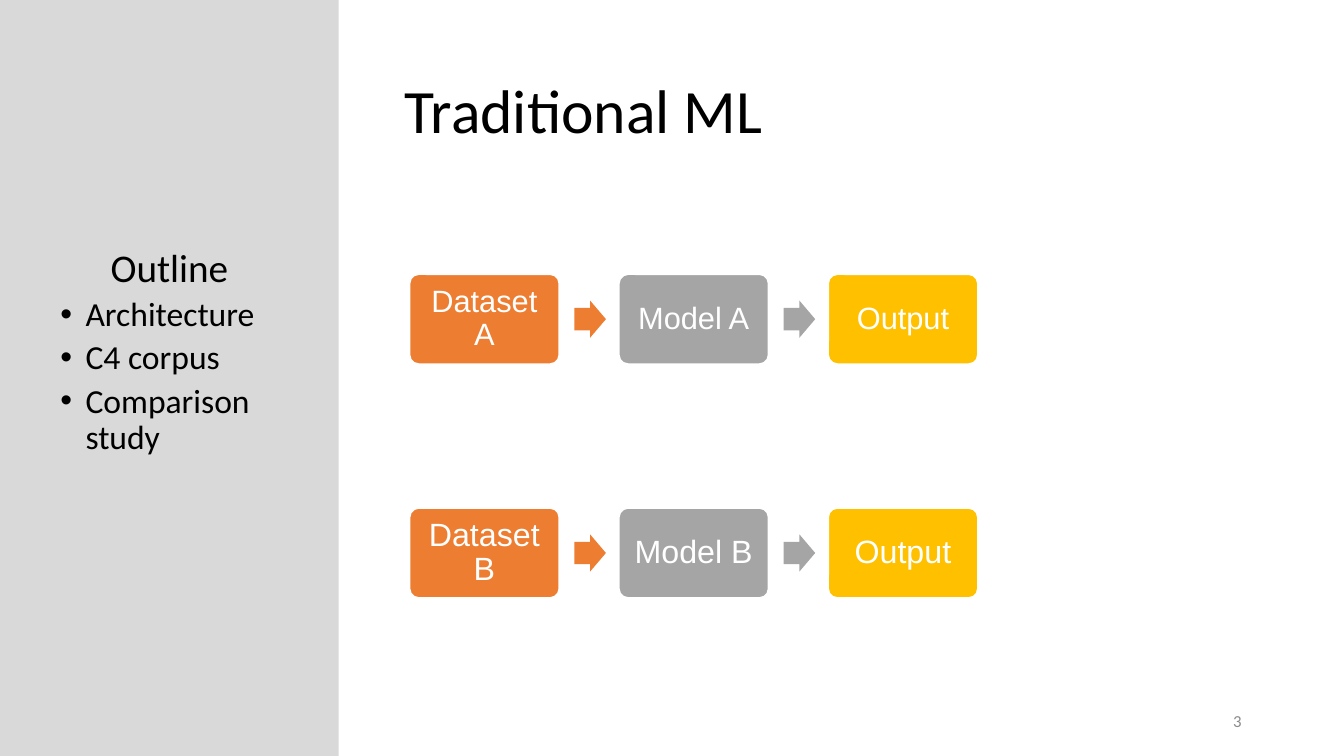
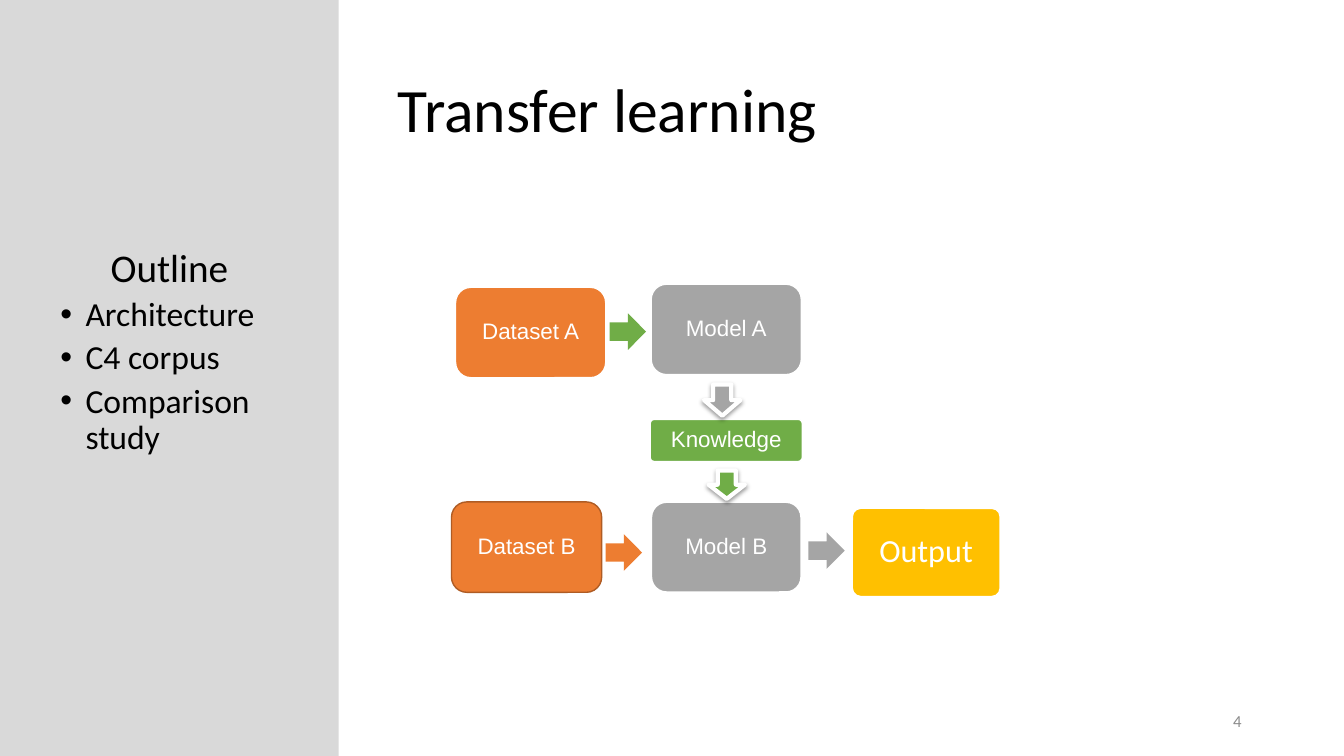
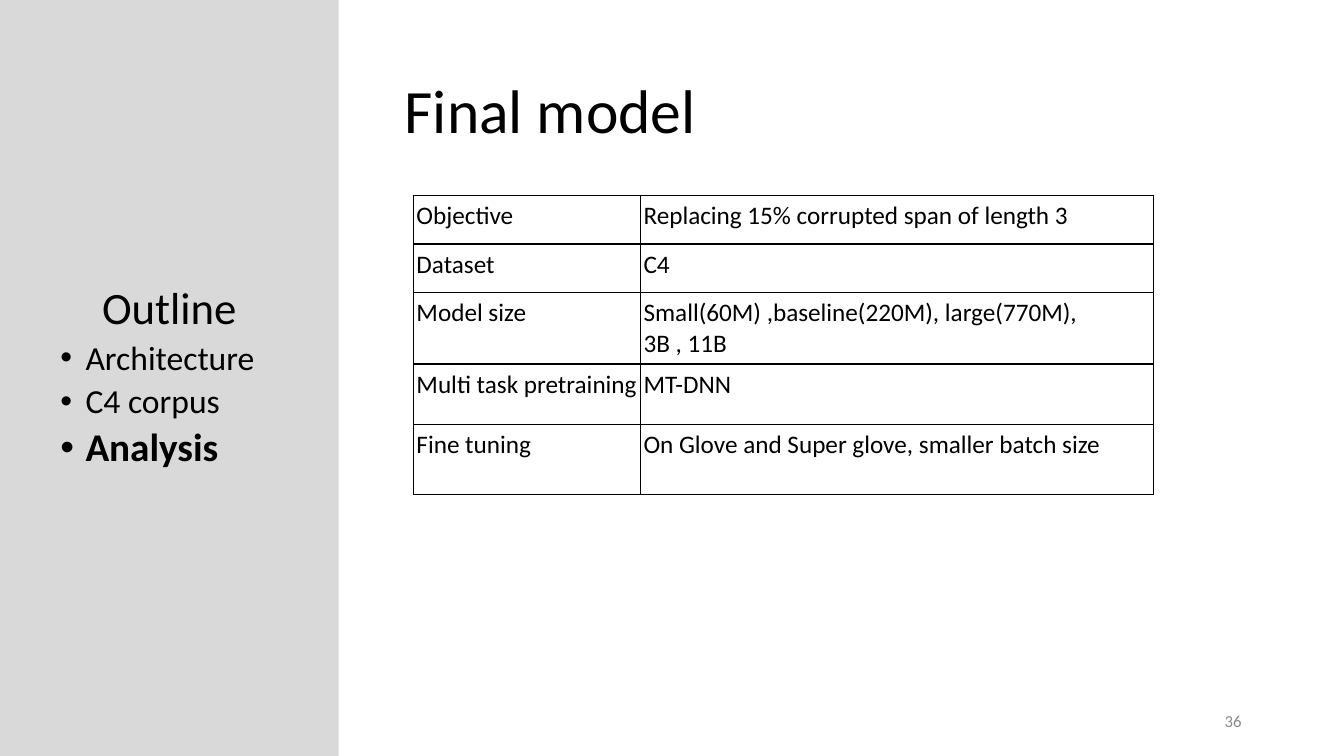
from pptx import Presentation
from pptx.dml.color import RGBColor
from pptx.enum.shapes import MSO_SHAPE
from pptx.enum.text import MSO_ANCHOR, PP_ALIGN
from pptx.oxml import parse_xml
from pptx.oxml.ns import nsdecls
from pptx.util import Pt

RECTANGLE = MSO_SHAPE.RECTANGLE
ROUNDED = MSO_SHAPE.ROUNDED_RECTANGLE
ARROW = MSO_SHAPE.RIGHT_ARROW
MIDDLE = MSO_ANCHOR.MIDDLE
LEFT, CENTER, RIGHT = PP_ALIGN.LEFT, PP_ALIGN.CENTER, PP_ALIGN.RIGHT

BLACK, WHITE = "000000", "FFFFFF"
BAND, FOOTER = "D9D9D9", "8B8B8B"
ORANGE, GRAY, GOLD, GREEN = "ED7D31", "A5A5A5", "FFC000", "70AD47"
DARK_ORANGE = "AF5C24"

SLIDE_WIDTH, SLIDE_HEIGHT = 960, 540
BAND_WIDTH = 242
TITLE_BOX = (282, 28.8, 612, 104.4)
NUMBER_BOX = (678, 500.5, 216, 28.8)
DEFAULT_INSETS = (7.2, 3.6, 7.2, 3.6)


# Shared helpers
def color(value):
    return RGBColor.from_string(value)


def points(box):
    return [Pt(value) for value in box]


def format_frame(frame, insets=DEFAULT_INSETS):
    left, top, right, bottom = points(insets)
    settings = {"word_wrap": True, "vertical_anchor": MIDDLE,
                "margin_left": left, "margin_top": top,
                "margin_right": right, "margin_bottom": bottom}
    for name, value in settings.items():
        setattr(frame, name, value)


def write(paragraph, text, size, ink=BLACK, font="Calibri", bold=False,
          align=LEFT, spacing=0.9, before=0):
    run = paragraph.add_run()
    run.text = text
    run.font.color.rgb = color(ink)
    for name, value in {"size": Pt(size), "name": font, "bold": bold}.items():
        setattr(run.font, name, value)
    layout = {"alignment": align, "line_spacing": spacing, "space_before": Pt(before)}
    for name, value in layout.items():
        setattr(paragraph, name, value)


def add_text(slide, box, text, size, **style):
    frame = slide.shapes.add_textbox(*points(box)).text_frame
    format_frame(frame)
    write(frame.paragraphs[0], text, size, **style)


def add_shape(slide, kind, box, fill, line=None, line_width=1, adjustments=()):
    shape = slide.shapes.add_shape(kind, *points(box))
    shape.shadow.inherit = False
    shape.fill.solid()
    shape.fill.fore_color.rgb = color(fill)
    if line:
        shape.line.color.rgb = color(line)
        shape.line.width = Pt(line_width)
    else:
        shape.line.fill.background()
    for index, value in enumerate(adjustments):
        shape.adjustments[index] = value
    return shape


# Outline band at the left
def add_outline(slide, topics, heading_size=28, current=None, bottom=3.6):
    band = add_shape(slide, RECTANGLE, (0, 0, BAND_WIDTH, SLIDE_HEIGHT), BAND)
    frame = band.text_frame
    format_frame(frame, (7.2, 3.6, 7.2, bottom))
    write(frame.paragraphs[0], "Outline", heading_size, align=CENTER)
    for topic in topics:
        paragraph = frame.add_paragraph()
        paragraph.level = 1
        properties = paragraph._p.get_or_add_pPr()
        properties.set("marL", str(Pt(54)))
        properties.set("indent", str(Pt(-18)))
        for bullet in (f'<a:buClr {nsdecls("a")}><a:srgbClr val="{BLACK}"/></a:buClr>',
                       f'<a:buFont {nsdecls("a")} typeface="Arial"/>',
                       f'<a:buChar {nsdecls("a")} char="•"/>'):
            properties.append(parse_xml(bullet))
        active = topic == current
        write(paragraph, topic, 28 if active else 24, bold=active, before=5)


def start_slide(presentation, title, number, title_box=TITLE_BOX, **outline):
    slide = presentation.slides.add_slide(presentation.slide_layouts[6])
    add_text(slide, title_box, title, 44)
    add_outline(slide, **outline)
    add_text(slide, NUMBER_BOX, number, 12, ink=FOOTER, align=RIGHT, spacing=1.0)
    return slide


# Diagram parts
def add_node(slide, box, text, fill, size, inset, font="Arial", corner=0.1,
             line=WHITE, line_width=1):
    node = add_shape(slide, ROUNDED, box, fill, line, line_width, [corner])
    format_frame(node.text_frame, [inset] * 4)
    write(node.text_frame.paragraphs[0], text, size, ink=WHITE, font=font, align=CENTER)


def add_flow(slide, left, top, steps, size, inset):
    width, height, pitch = 106.7, 64, 149.5
    arrow_width, arrow_height = 22.6, 26.6
    for index, (text, fill) in enumerate(steps):
        x = left + index * pitch
        add_node(slide, (x, top, width, height), text, fill, size, inset)
        if index < len(steps) - 1:
            arrow_box = (x + 117.5, top + (height - arrow_height) / 2,
                         arrow_width, arrow_height)
            add_shape(slide, ARROW, arrow_box, fill, adjustments=(0.6, 0.5))


def add_down_arrow(slide, box, fill):
    arrow = add_shape(slide, ARROW, box, fill, WHITE, 3)
    arrow.rotation = 90
    effects = arrow._element.spPr.find("{*}effectLst")
    effects.append(parse_xml(
        f'<a:outerShdw {nsdecls("a")} blurRad="{Pt(3.1)}" dist="{Pt(1.6)}" '
        f'dir="5400000" rotWithShape="0"><a:srgbClr val="{BLACK}">'
        '<a:alpha val="38000"/></a:srgbClr></a:outerShdw>'))


def add_transfer(slide, left, top):
    width, height = 107.3, 64.6
    model_left = left + 142.6
    # Datasets, models and the knowledge between them
    nodes = [
        ("Dataset A", ORANGE, left + 2.9, top + 2.2, WHITE, 1),
        ("Model A", GRAY, model_left, top, WHITE, 1),
        ("Dataset B", ORANGE, left, top + 155.5, DARK_ORANGE, 1),
        ("Model B", GRAY, model_left, top + 155.5, WHITE, 1.5),
    ]
    for text, fill, x, y, line, line_width in nodes:
        add_node(slide, (x, y, width, height), text, fill, 16, 4.8,
                 corner=0.17, line=line, line_width=line_width)
    add_node(slide, (model_left - 0.7, top + 96.5, 108.7, 30.2), "Knowledge", GREEN, 16, 4.8)
    add_node(slide, (left + 285.8, top + 159.6, 106.6, 64), "Output", GOLD, 23, 6.9,
             font="Calibri", line_width=2)
    # Arrows
    for x, y, fill in [(113, 20.8, GREEN), (110.1, 178.6, ORANGE), (254.9, 177.2, GRAY)]:
        add_shape(slide, ARROW, (left + x, top + y, 26, 26.2), fill)
    add_down_arrow(slide, (left + 186.5, top + 130.2, 20.2, 26), GREEN)
    add_down_arrow(slide, (left + 182.2, top + 69.8, 22.3, 26), GRAY)


# Table
def add_border(cell):
    properties = cell._tc.get_or_add_tcPr()
    for index, side in enumerate(("lnL", "lnR", "lnT", "lnB")):
        properties.insert(index, parse_xml(
            f'<a:{side} {nsdecls("a")} w="{Pt(0.96)}"><a:solidFill>'
            f'<a:srgbClr val="{BLACK}"/></a:solidFill></a:{side}>'))


def add_facts(slide, left, top, widths, heights, rows):
    box = (left, top, sum(widths), sum(heights))
    table = slide.shapes.add_table(len(rows), len(widths), *points(box)).table
    table.first_row = table.horz_banding = False
    for column, width in zip(table.columns, widths):
        column.width = Pt(width)
    margins = {"margin_left": 2.2, "margin_top": 3.6, "margin_right": 2.2, "margin_bottom": 3.6}
    for row, height, texts in zip(table.rows, heights, rows):
        row.height = Pt(height)
        for cell, text in zip(row.cells, texts):
            cell.fill.background()
            add_border(cell)
            for name, value in margins.items():
                setattr(cell, name, Pt(value))
            for index, line in enumerate(text.split("\n")):
                frame = cell.text_frame
                paragraph = frame.add_paragraph() if index else frame.paragraphs[0]
                write(paragraph, line, 18, spacing=1.0)


def main():
    presentation = Presentation()
    presentation.slide_width, presentation.slide_height = Pt(SLIDE_WIDTH), Pt(SLIDE_HEIGHT)
    intro = {"topics": ["Architecture", "C4 corpus", "Comparison study"], "bottom": 40}

    # Traditional ML
    slide = start_slide(presentation, "Traditional ML", "3", **intro)
    for letter, top, size, inset in [("A", 196, 22, 6.5), ("B", 363, 23, 6.9)]:
        steps = [(f"Dataset {letter}", ORANGE), (f"Model {letter}", GRAY), ("Output", GOLD)]
        add_flow(slide, 292.7, top, steps, size, inset)

    # Transfer learning
    slide = start_slide(presentation, "Transfer learning", "4",
                        title_box=(277.2, 28, 612, 104.4), **intro)
    add_transfer(slide, 322.5, 203)

    # Final model
    slide = start_slide(presentation, "Final model", "36", heading_size=32,
                        topics=["Architecture", "C4 corpus", "Analysis"], current="Analysis")
    add_facts(slide, 295.3, 139.4, (162.2, 366.2), (34.9, 34.9, 50.8, 43.5, 50), [
        ("Objective", "Replacing 15% corrupted span of length 3"),
        ("Dataset", "C4"),
        ("Model size", "Small(60M) ,baseline(220M), large(770M),\n3B , 11B"),
        ("Multi task pretraining", "MT-DNN"),
        ("Fine tuning", "On Glove and Super glove, smaller batch size"),
    ])

    presentation.save("out.pptx")


if __name__ == "__main__":
    main()
